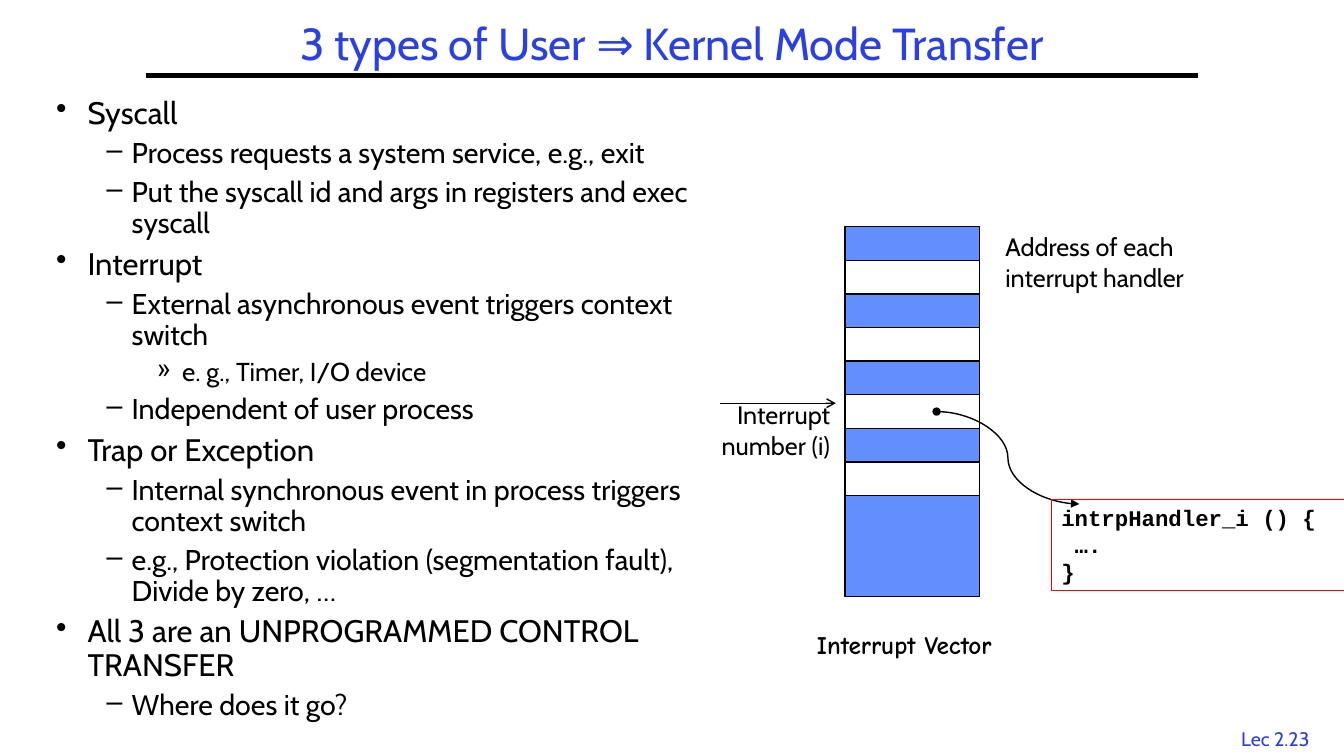
from lxml.etree import SubElement
from pptx import Presentation
from pptx.dml.color import RGBColor
from pptx.enum.shapes import MSO_CONNECTOR, MSO_SHAPE
from pptx.enum.text import MSO_ANCHOR, PP_ALIGN
from pptx.oxml.ns import qn
from pptx.util import Pt

COLORS = {
    "blue": "2A40E2",
    "cell": "618FFD",
    "white": "FFFFFF",
    "black": "000000",
    "red": "FF0000",
}

LABEL = {"size": 18, "name": "Cabin", "color": "black"}
TITLE = {"size": 32, "name": "Cabin", "color": "blue"}
FOOTER = {"size": 14, "name": "Cabin", "color": "blue"}
CAPTION = {"size": 18, "name": "Comic Neue", "color": "black", "bold": True}
CODE = {"size": 16, "name": "Courier New", "color": "black", "bold": True}

# Per outline level: bullet, font size, text indent, hanging indent
LEVELS = [("•", 22.2, 22.5, 22.5), ("–", 20.4, 54, 18), ("»", 18.5, 90, 18)]

OUTLINE = [
    (0, "Syscall"),
    (1, "Process requests a system service, e.g., exit"),
    (1, "Put the syscall id and args in registers and exec syscall"),
    (0, "Interrupt"),
    (1, "External asynchronous event triggers context switch"),
    (2, "e. g., Timer, I/O device"),
    (1, "Independent of user process"),
    (0, "Trap or Exception"),
    (1, "Internal synchronous event in process triggers context switch"),
    (1, "e.g., Protection violation (segmentation fault), Divide by zero, …"),
    (0, "All 3 are an UNPROGRAMMED CONTROL TRANSFER"),
    (1, "Where does it go?"),
]

VECTOR_LEFT, VECTOR_TOP, VECTOR_WIDTH = 603.5, 162, 96
CELL_HEIGHT = 24


def rgb(name):
    return RGBColor.from_string(COLORS[name])


def add_run(paragraph, text, font_format):
    run = paragraph.add_run()
    run.text = text
    for attribute, value in font_format.items():
        if attribute == "color":
            run.font.color.rgb = rgb(value)
        elif attribute == "size":
            run.font.size = Pt(value)
        else:
            setattr(run.font, attribute, value)


def write_lines(frame, lines, font_format, alignment=PP_ALIGN.LEFT):
    for index, line in enumerate(lines):
        paragraph = frame.add_paragraph() if index else frame.paragraphs[0]
        paragraph.alignment = alignment
        add_run(paragraph, line, font_format)


def add_text(slide, box, lines, font_format, alignment=PP_ALIGN.LEFT, wrap=True):
    frame = slide.shapes.add_textbox(*map(Pt, box)).text_frame
    frame.word_wrap = wrap
    write_lines(frame, lines, font_format, alignment)


def add_rectangle(slide, box, fill, line="black", width=1):
    shape = slide.shapes.add_shape(MSO_SHAPE.RECTANGLE, *map(Pt, box))
    shape.shadow.inherit = False
    if fill:
        shape.fill.solid()
        shape.fill.fore_color.rgb = rgb(fill)
    else:
        shape.fill.background()
    shape.line.color.rgb = rgb(line)
    shape.line.width = Pt(width)
    return shape


def add_line(slide, ends, width=1, kind=MSO_CONNECTOR.STRAIGHT, head=None, tail=None):
    connector = slide.shapes.add_connector(kind, *map(Pt, ends))
    connector.line.color.rgb = rgb("black")
    connector.line.width = Pt(width)
    line_element = connector.line._get_or_add_ln()
    for tag, arrow in (("a:headEnd", head), ("a:tailEnd", tail)):
        if arrow:
            SubElement(line_element, qn(tag), type=arrow)
    SubElement(connector._element.spPr, qn("a:effectLst"))


def set_title(slide, text):
    title = slide.shapes.title
    box = {"left": 104, "top": 12, "width": 752, "height": 42}
    for attribute, value in box.items():
        setattr(title, attribute, Pt(value))
    frame = title.text_frame
    frame.vertical_anchor = MSO_ANCHOR.MIDDLE
    write_lines(frame, [text], TITLE, PP_ALIGN.CENTER)
    frame.paragraphs[0].line_spacing = 0.9


def add_outline(slide, box):
    frame = slide.shapes.add_textbox(*map(Pt, box)).text_frame
    frame.word_wrap = True
    for index, (level, text) in enumerate(OUTLINE):
        bullet, size, indent, hanging = LEVELS[level]
        paragraph = frame.add_paragraph() if index else frame.paragraphs[0]
        paragraph.level = level
        paragraph.line_spacing = 0.9
        paragraph.space_before = Pt(round(0.28 * size, 1) if index else 0)
        properties = paragraph._p.get_or_add_pPr()
        properties.set("marL", str(Pt(indent)))
        properties.set("indent", str(-Pt(hanging)))
        SubElement(properties, qn("a:buChar"), char=bullet)
        add_run(paragraph, text, {**LABEL, "size": size})


def add_interrupt_vector(slide):
    add_rectangle(slide, (VECTOR_LEFT, VECTOR_TOP, VECTOR_WIDTH, 11 * CELL_HEIGHT), "cell")
    for row in range(1, 8, 2):
        top = VECTOR_TOP + row * CELL_HEIGHT
        add_rectangle(slide, (VECTOR_LEFT, top, VECTOR_WIDTH, CELL_HEIGHT), "white")


def add_handler_code(slide):
    shape = add_rectangle(slide, (751, 356.5, 210, 65.5), None, "red", 0.75)
    frame = shape.text_frame
    frame.vertical_anchor = MSO_ANCHOR.TOP
    write_lines(frame, ["intrpHandler_i () {", " ….", "}"], CODE)


def main():
    presentation = Presentation()
    presentation.slide_width, presentation.slide_height = Pt(960), Pt(540)
    slide = presentation.slides.add_slide(presentation.slide_layouts[5])

    add_text(slide, (876, 515.5, 70, 24), ["Lec 2.23"], FOOTER, PP_ALIGN.CENTER, wrap=False)
    add_line(slide, (104, 54, 856, 54), width=3)
    set_title(slide, "3 types of User ⇒ Kernel Mode Transfer")
    add_outline(slide, (33, 66, 497.5, 444))

    add_interrupt_vector(slide)
    add_text(slide, (504, 282, 96, 51), ["Interrupt", "number (i)"], LABEL, PP_ALIGN.RIGHT)
    add_line(slide, (514, 288, 597, 288), tail="arrow")
    add_line(slide, (669, 294, 771, 360), kind=MSO_CONNECTOR.CURVE, head="oval", tail="triangle")
    add_handler_code(slide)
    add_text(slide, (711, 162, 184, 51), ["Address of each interrupt handler"], LABEL)
    add_text(slide, (576.5, 446, 174, 29), ["Interrupt Vector"], CAPTION)

    presentation.save("out.pptx")


if __name__ == "__main__":
    main()
